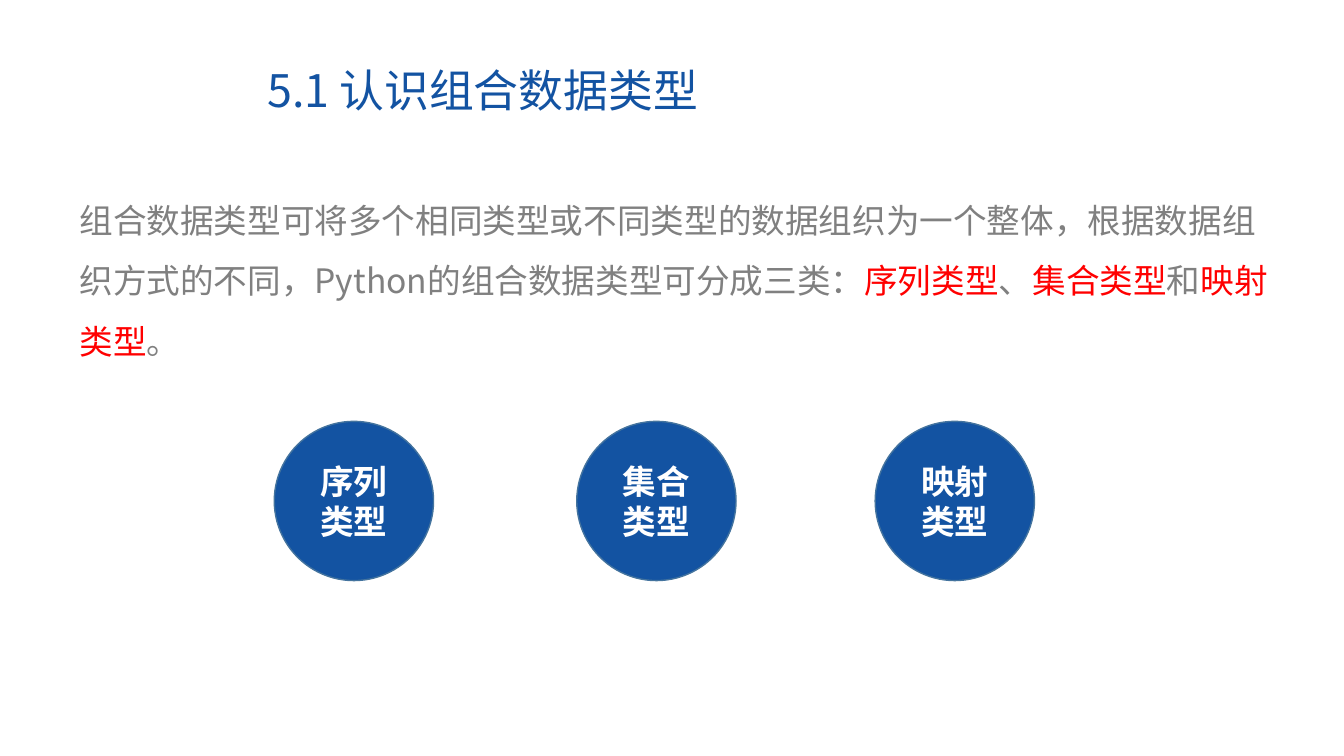
from lxml import etree
from pptx import Presentation
from pptx.dml.color import RGBColor
from pptx.enum.shapes import MSO_SHAPE
from pptx.enum.text import MSO_ANCHOR, MSO_AUTO_SIZE, PP_ALIGN
from pptx.oxml.ns import qn
from pptx.util import Inches, Pt

OVAL = MSO_SHAPE.OVAL
MIDDLE = MSO_ANCHOR.MIDDLE
NO_FIT = MSO_AUTO_SIZE.NONE
LEFT, CENTER = PP_ALIGN.LEFT, PP_ALIGN.CENTER
FONT = "Noto Sans CJK SC"
COLORS = {"blue": "1353A2", "edge": "43739E", "gray": "808080",
          "red": "FF0000", "white": "FFFFFF"}


class Deck:
    """Hold the style and the current slide."""

    def __init__(self):
        self.prs = Presentation()
        self.prs.slide_width = Inches(13.33)
        self.prs.slide_height = Inches(7.5)
        self.slide = self.prs.slides.add_slide(self.prs.slide_layouts[5])

    def color(self, name):
        return RGBColor.from_string(COLORS[name])

    def style(self, run, size, color, bold=False):
        font = run.font
        font.size, font.bold, font.name = Pt(size), bold, FONT
        font.color.rgb = self.color(color)
        etree.SubElement(run._r.get_or_add_rPr(), qn("a:ea"), typeface=FONT)

    def title(self, text, left, top, width, height):
        shape = self.slide.shapes.title
        shape.left, shape.top = Inches(left), Inches(top)
        shape.width, shape.height = Inches(width), Inches(height)
        frame = shape.text_frame
        frame.text = text
        frame.auto_size = NO_FIT
        frame.vertical_anchor = MIDDLE
        para = frame.paragraphs[0]
        para.alignment, para.line_spacing = LEFT, 0.9
        self.style(para.runs[0], 32, "blue")

    def text(self, parts, left, top, width, height):
        box = self.slide.shapes.add_textbox(
            Inches(left), Inches(top), Inches(width), Inches(height))
        box.text_frame.word_wrap = True
        para = box.text_frame.paragraphs[0]
        para.line_spacing = 1.5
        for words, color in parts:
            run = para.add_run()
            run.text = words
            self.style(run, 24, color)

    def circle(self, text, left, top, size):
        shape = self.slide.shapes.add_shape(
            OVAL, Inches(left), Inches(top), Inches(size), Inches(size))
        shape.shadow.inherit = False
        shape.fill.solid()
        shape.fill.fore_color.rgb = self.color("blue")
        shape.line.color.rgb = self.color("edge")
        shape.line.width = Pt(1)
        frame = shape.text_frame
        frame.text = text
        frame.word_wrap = True
        frame.vertical_anchor = MIDDLE
        for para in frame.paragraphs:
            para.alignment = CENTER
            self.style(para.runs[0], 24, "white", True)


def main():
    deck = Deck()
    deck.title("5.1 认识组合数据类型", 2.55, 0.63, 9.14, 0.59)
    deck.text([
        ("组合数据类型可将多个相同类型或不同类型的数据组织为一个整体，"
         "根据数据组织方式的不同，Python的组合数据类型可分成三类：", "gray"),
        ("序列类型", "red"), ("、", "gray"),
        ("集合类型", "red"), ("和", "gray"),
        ("映射类型", "red"), ("。", "gray"),
    ], 0.69, 1.73, 12, 1.85)
    for text, left in (("序列\n类型", 2.72), ("集合类型", 5.72),
                       ("映射类型", 8.68)):
        deck.circle(text, left, 4.18, 1.58)
    deck.prs.save("out.pptx")


if __name__ == "__main__":
    main()
